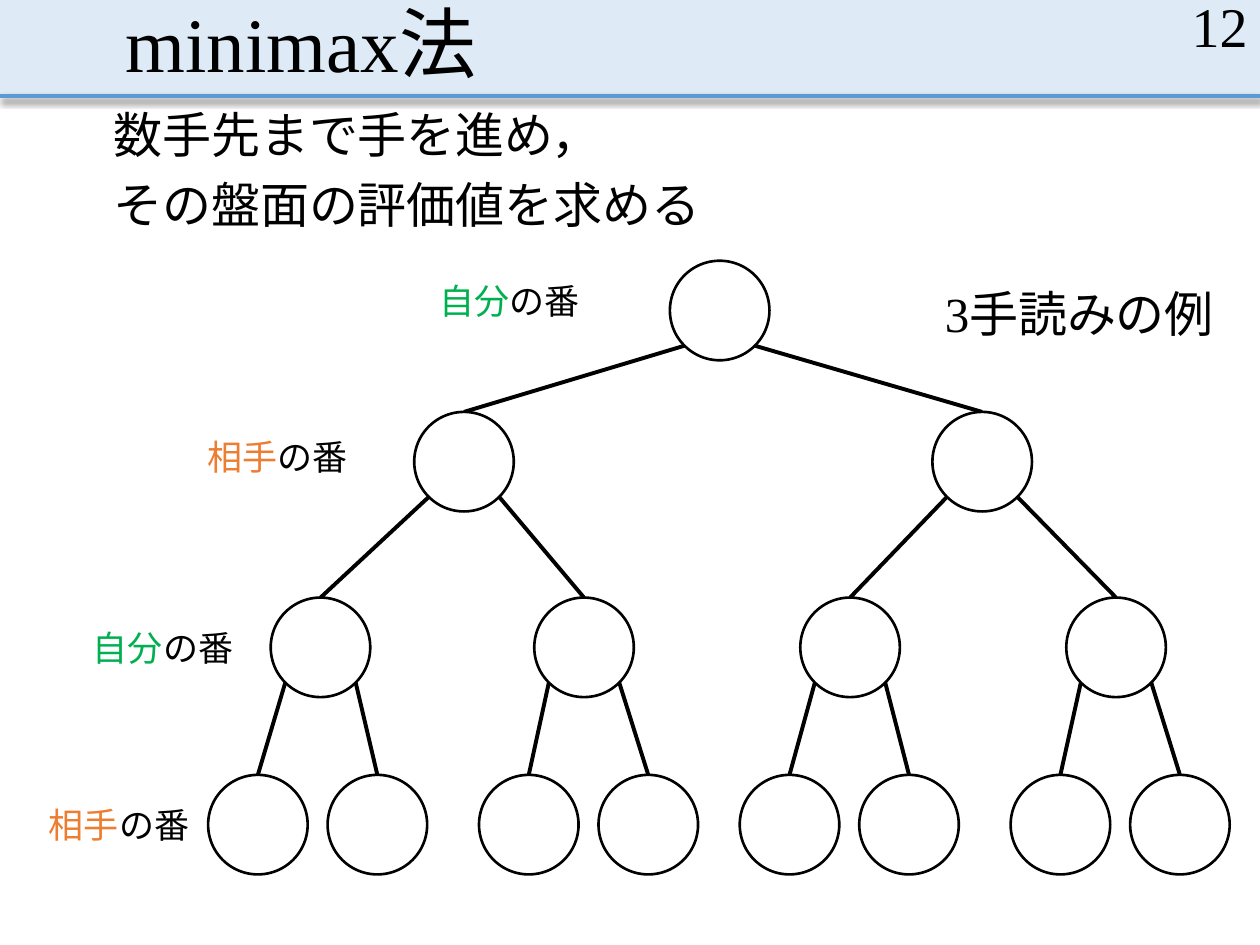
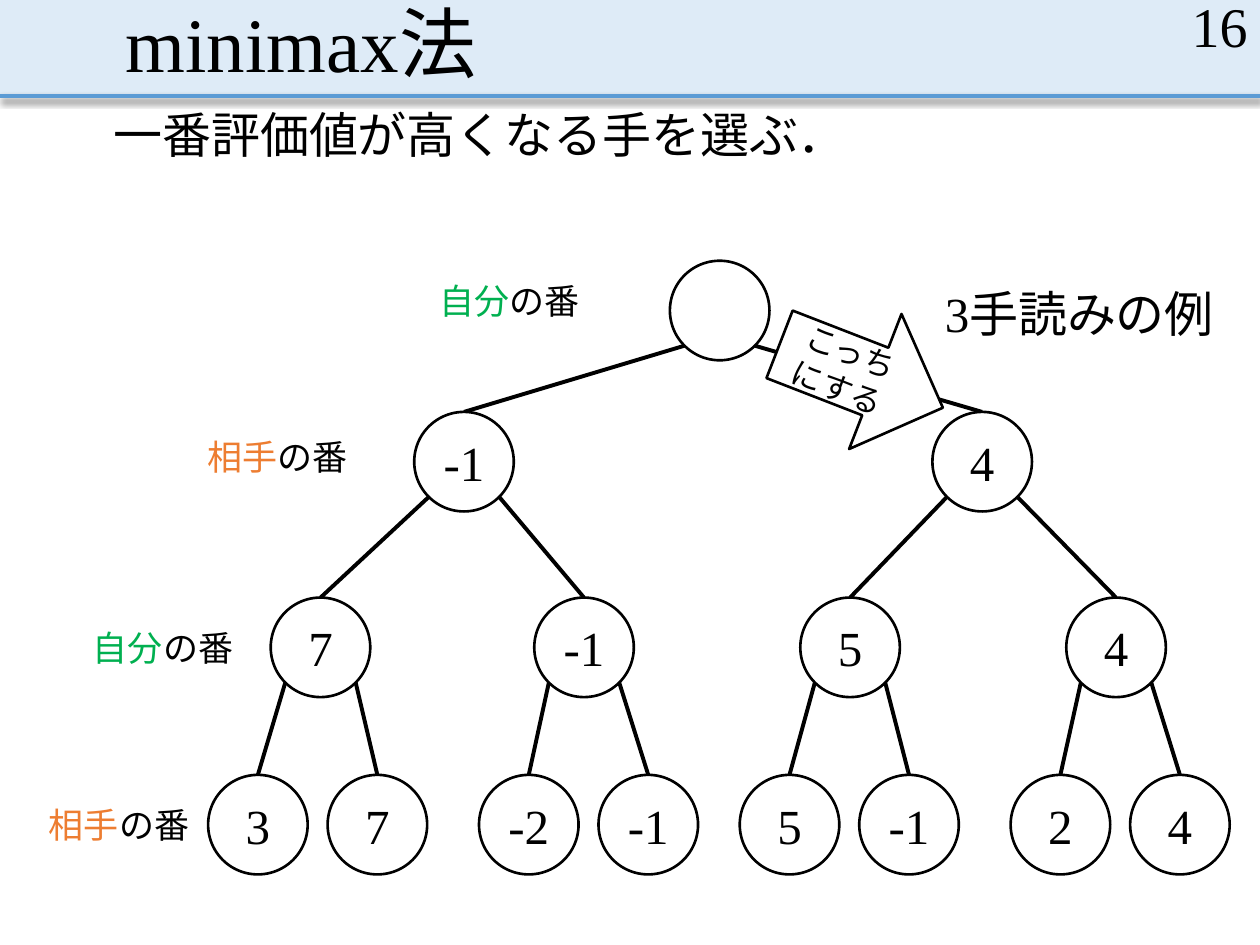
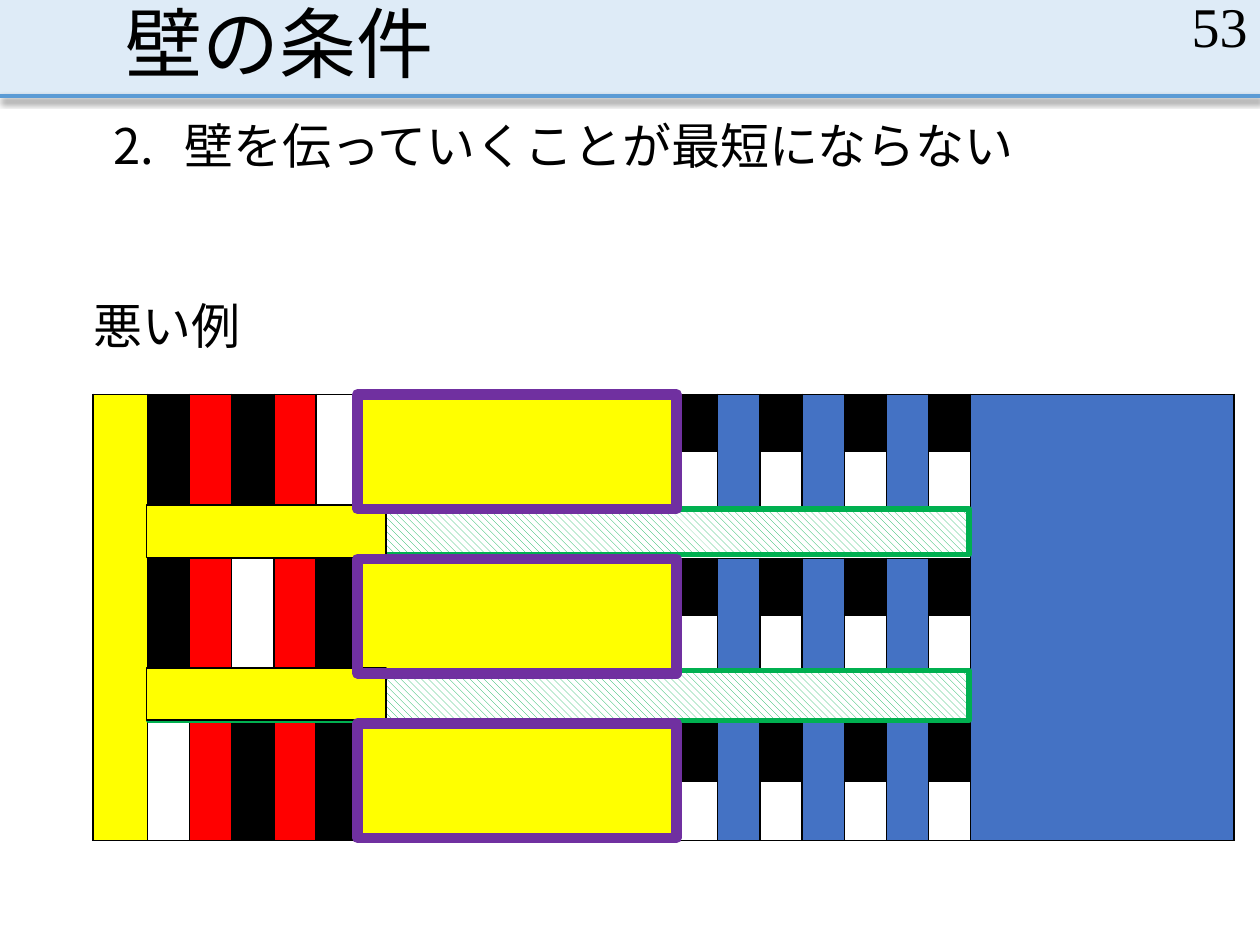
from dataclasses import dataclass
from math import sqrt

from lxml import etree
from pptx import Presentation
from pptx.dml.color import RGBColor
from pptx.enum.dml import MSO_PATTERN
from pptx.enum.lang import MSO_LANGUAGE_ID
from pptx.enum.shapes import MSO_CONNECTOR, MSO_SHAPE
from pptx.enum.text import MSO_ANCHOR, PP_ALIGN
from pptx.oxml import parse_xml
from pptx.oxml.ns import nsdecls, qn
from pptx.util import Pt

RECT, OVAL, ARROW = MSO_SHAPE.RECTANGLE, MSO_SHAPE.OVAL, MSO_SHAPE.RIGHT_ARROW
STRAIGHT = MSO_CONNECTOR.STRAIGHT
LEFT, CENTER, RIGHT = PP_ALIGN.LEFT, PP_ALIGN.CENTER, PP_ALIGN.RIGHT
TOP, MIDDLE, BOTTOM = MSO_ANCHOR.TOP, MSO_ANCHOR.MIDDLE, MSO_ANCHOR.BOTTOM
HATCH = MSO_PATTERN.WIDE_DOWNWARD_DIAGONAL
JAPANESE = MSO_LANGUAGE_ID.JAPANESE


@dataclass(frozen=True)
class Theme:
    font: str = "Times New Roman"
    black: str = "000000"
    white: str = "FFFFFF"
    band: str = "DEEBF7"
    rule: str = "5B9BD5"
    mine: str = "00B050"
    theirs: str = "ED7D31"
    yellow: str = "FFFF00"
    red: str = "FF0000"
    blue: str = "4472C4"
    purple: str = "7030A0"
    title: int = 44
    number: int = 32
    body: int = 28
    label: int = 20
    arrow: int = 18


THEME = Theme()

# ---- Content ----
SLIDE_SIZE = (720, 540)
TREE_TITLE = "minimax法"
SEARCH_LINES = ["数手先まで手を進め，", "その盤面の評価値を求める"]
CHOICE_LINES = ["一番評価値が高くなる手を選ぶ．"]
SCORES = [[""], ["-1", "4"], ["7", "-1", "5", "4"],
          ["3", "7", "-2", "-1", "5", "-1", "2", "4"]]
NO_SCORES = [[""] * len(level) for level in SCORES]
DEPTH_NOTE = "3手読みの例"
CHOICE_NOTE = "こっちにする"
MINE, THEIRS, TURN = "自分", "相手", "の番"
TURN_COLOURS = {MINE: THEME.mine, THEIRS: THEME.theirs}
TURN_LABELS = [(MINE, 244, 156.2), (THEIRS, 111.6, 245.5),
               (MINE, 46, 354.2), (THEIRS, 20.9, 455.8)]

WALL_TITLE = "壁の条件"
WALL_RULE = "壁を伝っていくことが最短にならない"
BAD_EXAMPLE = "悪い例"
# Each lane: five narrow tiles, one wide tile, then seven tiles.
# K black, R red, W empty, Y yellow, B blue
LANES = {0: "KRKRWY" + "KBKBKBK", 3: "KRWRKY" + "KBKBKBK", 6: "WRKRKY" + "KBKBKBK"}
CORRIDORS = [2, 5]
TILE_COLOURS = {"K": THEME.black, "R": THEME.red, "Y": THEME.yellow, "B": THEME.blue}

# ---- Tree geometry ----
NODE = 56.9
LEAF_STEP = 68.3
LEVEL_TOPS = [149, 235.4, 341.5, 442.8]
LEVEL_LEFTS = [[382.8], [236.7, 532.8], [154.7, 305.3, 457.3, 609.3],
               [left + step for left in (118.9, 273.7, 422.7, 577.5)
                for step in (0, LEAF_STEP)]]

# ---- Wall geometry ----
TILE = 24.1
WALL_COLUMNS = [31] + [TILE] * 5 + [181.4] + [TILE] * 7 + [150.4]
WALL_ROWS = [32.4, 32.4, 28.1, 32.4, 32.4, 25.2, 33.8, 33.8]
WALL_BOX = (53.2, 225.4, sum(WALL_COLUMNS), 254.2)
DETOURS = [(85, 290.9, 468.7, 25.9), (85, 383, 468.7, 28.8)]
PASSAGES = [(83.8, top, 136.8, 30) for top in (288.7, 381.6)]
WALL_FRAMES = [(204.3, 225.3 + 94 * lane, 182.2, 65.5) for lane in range(3)]


def rgb(colour):
    return RGBColor.from_string(colour)


def box_points(box):
    return [Pt(value) for value in box]


# ---- Shared drawing ----
def style_text(shape, size, align=LEFT, anchor=TOP, spacing=None, before=None):
    frame = shape.text_frame
    frame.word_wrap = True
    frame.vertical_anchor = anchor
    for paragraph in frame.paragraphs:
        paragraph.alignment = align
        if spacing:
            paragraph.line_spacing = spacing
        if before:
            paragraph.space_before = Pt(before)
        for run in paragraph.runs:
            run.font.size = Pt(size)
            run.font.name = THEME.font
            run.font.language_id = JAPANESE
            run.font.color.rgb = rgb(THEME.black)


def add_text(slide, box, text, size, **style):
    text_box = slide.shapes.add_textbox(*box_points(box))
    text_box.text_frame.text = text
    style_text(text_box, size, **style)
    return text_box


def add_body(slide, box, lines):
    body = add_text(slide, box, "\n".join(lines), THEME.body, spacing=0.9, before=10)
    body.text_frame.margin_left = body.text_frame.margin_right = 0
    return body


def add_figure(slide, preset, box, fill=None, line=None, width=1.5):
    figure = slide.shapes.add_shape(preset, *box_points(box))
    figure.shadow.inherit = False
    if fill:
        figure.fill.solid()
        figure.fill.fore_color.rgb = rgb(fill)
    else:
        figure.fill.background()
    if line:
        figure.line.color.rgb = rgb(line)
        figure.line.width = Pt(width)
    else:
        figure.line.fill.background()
    return figure


def add_line(slide, start, end, colour):
    line = slide.shapes.add_connector(STRAIGHT, *box_points(start + end))
    line.line.color.rgb = rgb(colour)
    line.line.width = Pt(2.25)
    effects = etree.SubElement(line._element.spPr, qn("a:effectLst"))
    return effects


def add_slide(deck, title, number):
    slide = deck.slides.add_slide(deck.slide_layouts[6])
    add_figure(slide, RECT, (0, 0, 720, 54.7), THEME.band)
    effects = add_line(slide, (0, 54.7), (720, 54.7), THEME.rule)
    effects.append(parse_xml(
        f'<a:outerShdw {nsdecls("a")} blurRad="{Pt(4)}" dist="{Pt(2.5)}" dir="5400000"'
        f' algn="t" rotWithShape="0"><a:srgbClr val="{THEME.black}">'
        '<a:alpha val="47000"/></a:srgbClr></a:outerShdw>'))
    add_text(slide, (64.8, 0, 594, 54.7), title, THEME.title, anchor=BOTTOM, spacing=0.9)
    add_text(slide, (558, 0, 162, 28.8), number, THEME.number, align=RIGHT, anchor=MIDDLE)
    return slide


# ---- Game tree ----
def add_tree(slide, scores):
    radius = NODE / 2
    corner = radius / sqrt(2)
    for depth, lefts in enumerate(LEVEL_LEFTS[1:], start=1):
        for index, left in enumerate(lefts):
            side = 1 if index % 2 else -1
            parent_x = LEVEL_LEFTS[depth - 1][index // 2] + radius + side * corner
            parent_y = LEVEL_TOPS[depth - 1] + radius + corner
            add_line(slide, (parent_x, parent_y), (left + radius, LEVEL_TOPS[depth]),
                     THEME.black)
    for top, lefts, level in zip(LEVEL_TOPS, LEVEL_LEFTS, scores):
        for left, score in zip(lefts, level):
            node = add_figure(slide, OVAL, (left, top, NODE, NODE), THEME.white, THEME.black)
            if score:
                node.text_frame.text = score
                style_text(node, THEME.body, align=CENTER, anchor=MIDDLE)
    for player, left, top in TURN_LABELS:
        label = add_text(slide, (left, top, 97.9, 31.7), player, THEME.label)
        paragraph = label.text_frame.paragraphs[0]
        paragraph.add_run().text = TURN
        style_text(label, THEME.label)
        paragraph.runs[0].font.color.rgb = rgb(TURN_COLOURS[player])


def add_tree_slide(deck, number, lines, scores, choice=None):
    slide = add_slide(deck, TREE_TITLE, number)
    add_body(slide, (64.8, 59.8, 609, 79.2), lines)
    add_tree(slide, scores)
    if choice:
        arrow = add_figure(slide, ARROW, (442.1, 173.5, 100.1, 82.8), THEME.white, THEME.black)
        arrow.rotation = 21.2
        arrow.text_frame.text = choice
        style_text(arrow, THEME.arrow, align=CENTER, anchor=MIDDLE)
    add_text(slide, (532.8, 158.4, 169.9, 41), DEPTH_NOTE, THEME.body)


# ---- Wall diagram ----
def set_borders(cell):
    properties = cell._tc.get_or_add_tcPr()
    for position, edge in enumerate(("lnL", "lnR", "lnT", "lnB")):
        properties.insert(position, parse_xml(
            f'<a:{edge} {nsdecls("a")} w="{Pt(1)}"><a:solidFill>'
            f'<a:srgbClr val="{THEME.black}"/></a:solidFill></a:{edge}>'))


def paint(cell, colour):
    cell.fill.solid()
    cell.fill.fore_color.rgb = rgb(colour)


def add_wall(slide):
    rows, columns = len(WALL_ROWS), len(WALL_COLUMNS)
    wall = slide.shapes.add_table(rows, columns, *box_points(WALL_BOX)).table
    wall.first_row = wall.horz_banding = False
    for column, width in zip(wall.columns, WALL_COLUMNS):
        column.width = Pt(width)
    for row, height in zip(wall.rows, WALL_ROWS):
        row.height = Pt(height)
    for cell in wall.iter_cells():
        cell.fill.background()
        set_borders(cell)

    for column, colour in ((0, THEME.yellow), (columns - 1, THEME.blue)):
        wall.cell(0, column).merge(wall.cell(rows - 1, column))
        paint(wall.cell(0, column), colour)
    for row in CORRIDORS:
        wall.cell(row, 1).merge(wall.cell(row, columns - 2))
    for row, tiles in LANES.items():
        for column, tile in enumerate(tiles, start=1):
            half_height = column > 6 and tile == "K"
            if not half_height:
                wall.cell(row, column).merge(wall.cell(row + 1, column))
            if tile in TILE_COLOURS:
                paint(wall.cell(row, column), TILE_COLOURS[tile])


def add_wall_slide(deck, number):
    slide = add_slide(deck, WALL_TITLE, number)
    rule = add_body(slide, (64.8, 66.2, 594, 40.3), [WALL_RULE])
    numbering = rule.text_frame.paragraphs[0]._p.get_or_add_pPr()
    numbering.set("marL", str(Pt(40.5)))
    numbering.set("indent", str(-Pt(40.5)))
    etree.SubElement(numbering, qn("a:buFont"), typeface="+mj-ea")
    etree.SubElement(numbering, qn("a:buAutoNum"), type="arabicPeriod", startAt="2")

    add_wall(slide)
    for box in DETOURS:
        detour = add_figure(slide, RECT, box, line=THEME.mine, width=3)
        detour.fill.patterned()
        detour.fill.pattern = HATCH
        detour.fill.fore_color.rgb = rgb(THEME.mine)
        detour.fill.back_color.rgb = rgb(THEME.white)
    for box in PASSAGES:
        add_figure(slide, RECT, box, THEME.yellow, THEME.black, 1)
    add_body(slide, (53.3, 169.2, 108.7, 40.3), [BAD_EXAMPLE])
    for box in WALL_FRAMES:
        add_figure(slide, RECT, box, line=THEME.purple, width=6)


def main():
    deck = Presentation()
    deck.slide_width, deck.slide_height = box_points(SLIDE_SIZE)
    add_tree_slide(deck, "12", SEARCH_LINES, NO_SCORES)
    add_tree_slide(deck, "16", CHOICE_LINES, SCORES, CHOICE_NOTE)
    add_wall_slide(deck, "53")
    deck.save("out.pptx")


if __name__ == "__main__":
    main()
